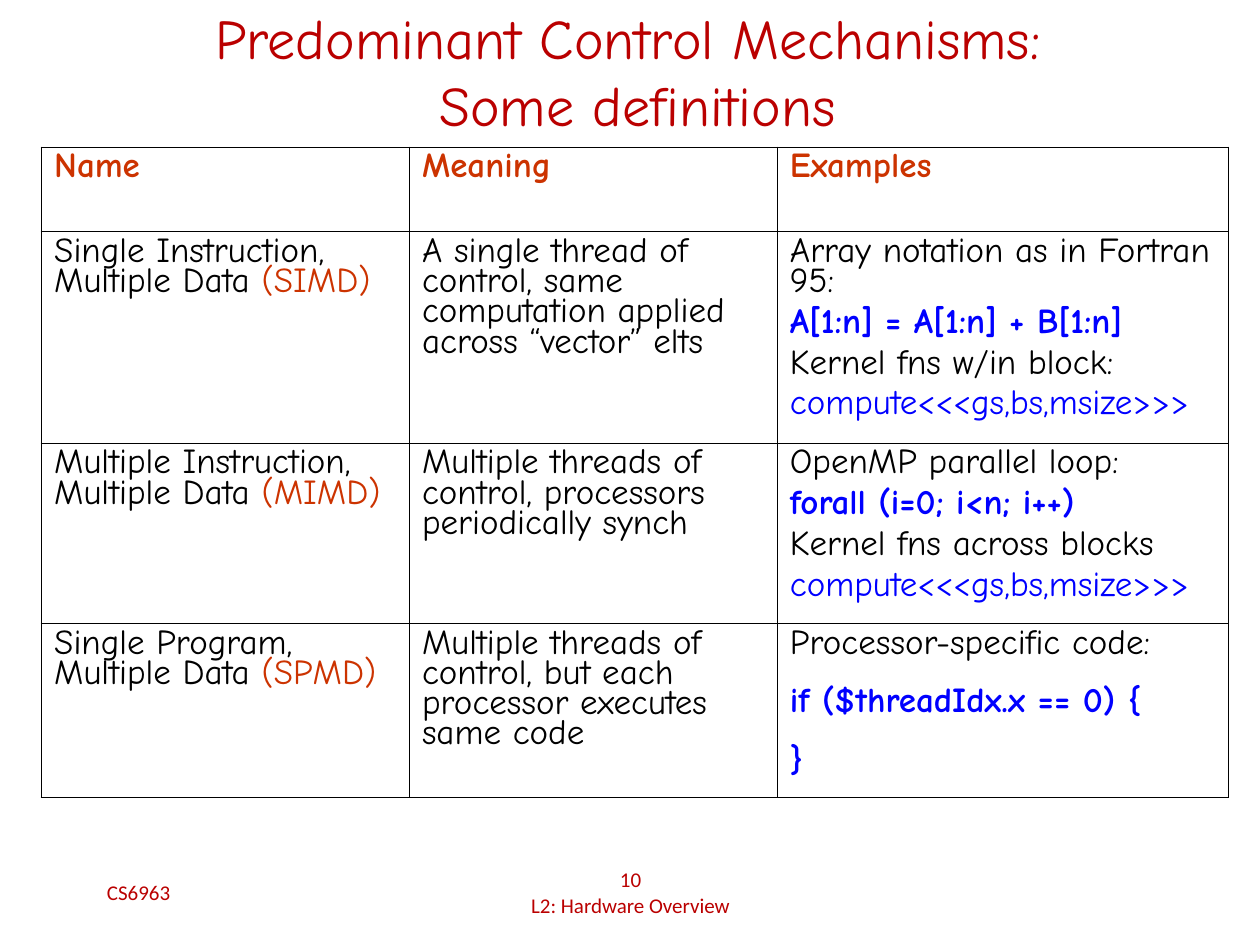
"""Build a slide that defines the main control mechanisms in a table."""
from lxml import etree
from pptx import Presentation
from pptx.dml.color import RGBColor
from pptx.enum.text import MSO_ANCHOR, PP_ALIGN
from pptx.oxml.ns import qn
from pptx.util import Inches, Pt

MIDDLE = MSO_ANCHOR.MIDDLE
LEFT, CENTER = PP_ALIGN.LEFT, PP_ALIGN.CENTER

COLORS = {"title": "BA0000", "term": "CC3300", "head": "CC3300",
          "text": "000000", "call": "0000FF", "code": "0000FF", "rule": "000000"}
BOLD = {"head", "code"}
BODY, FOOT = "Comic Neue", "Calibri"

TITLE = [[("Predominant Control Mechanisms: \vSome definitions", "title")]]
BOXES = [
    ((0.75, 6.83, 2.08, 0.5), [[("CS6963", "title")]], FOOT, 12, LEFT),
    ((3.42, 6.83, 3.17, 0.5),
     [[("10", "title")], [("L2: Hardware Overview", "title")]], FOOT, 12, CENTER),
    ((0.87, 0.33, 8.38, 0.46), TITLE, BODY, 32, CENTER),
]

HEADS = ["Name", "Meaning", "Examples"]
KINDS = [
    ("Single Instruction, Multiple Data ", "(SIMD)",
     "A single thread of control, same computation applied across “vector” elts",
     [("Array notation as in Fortran 95:", "text"),
      ("A[1:n] = A[1:n] + B[1:n]", "code"),
      ("Kernel fns w/in block:", "text"),
      ("compute<<<gs,bs,msize>>>", "call")], 6),
    ("Multiple Instruction, Multiple Data ", "(MIMD)",
     "Multiple threads of control, processors periodically synch",
     [("OpenMP parallel loop:", "text"),
      ("forall (i=0; i<n; i++)", "code"),
      ("Kernel fns across blocks", "text"),
      ("compute<<<gs,bs,msize>>>", "call")], 6),
    ("Single Program, Multiple Data ", "(SPMD)",
     "Multiple threads of control, but each processor executes same code",
     [("Processor-specific code:", "text"),
      ("if ($threadIdx.x == 0) {", "code"),
      ("}", "code")], 16.2),
]
COLS = [2.92, 2.92, 3.58]
ROWS = [0.67, 1.68, 1.43, 1.38]
THICK, THIN = 1.08, 0.45


def write(frame, paras, font, size, align=LEFT, pitch=None, gap=0):
    for i, runs in enumerate(paras):
        para = frame.paragraphs[0] if i == 0 else frame.add_paragraph()
        para.alignment = align
        para.space_before = Pt(gap if i else 0)
        if pitch:
            para.line_spacing = pitch
        for text, role in runs:
            for j, part in enumerate(text.split("\v")):
                if j:
                    para.add_line_break()
                run = para.add_run()
                run.text = part
                run.font.name = font
                run.font.size = Pt(size)
                run.font.bold = role in BOLD
                run.font.color.rgb = RGBColor.from_string(COLORS[role])


def border(cell, edges):
    props = cell._tc.get_or_add_tcPr()
    for side, outer in edges:
        width = Pt(THICK if outer else THIN)
        line = etree.SubElement(props, qn(f"a:ln{side}"), w=str(width))
        fill = etree.SubElement(line, qn("a:solidFill"))
        etree.SubElement(fill, qn("a:srgbClr"), val=COLORS["rule"])


def add_box(slide, place, paras, font, size, align):
    frame = slide.shapes.add_textbox(*map(Inches, place)).text_frame
    frame.word_wrap = True
    frame.vertical_anchor = MIDDLE
    write(frame, paras, font, size, align)


def add_grid(slide):
    grid = [[([[(head, "head")]], 0) for head in HEADS]]
    for name, term, meaning, lines, gap in KINDS:
        grid.append([([[(name, "text"), (term, "term")]], 0),
                     ([[(meaning, "text")]], 0),
                     ([[line] for line in lines], gap)])
    place = (0.33, 1.17, sum(COLS), sum(ROWS))
    table = slide.shapes.add_table(len(ROWS), len(COLS), *map(Inches, place)).table
    table.first_row = table.horz_banding = False
    for col, width in zip(table.columns, COLS):
        col.width = Inches(width)
    for row, height in zip(table.rows, ROWS):
        row.height = Inches(height)
    for r, items in enumerate(grid):
        for c, (paras, gap) in enumerate(items):
            cell = table.cell(r, c)
            border(cell, [("L", c == 0), ("R", c == len(COLS) - 1),
                          ("T", r == 0), ("B", r == len(ROWS) - 1)])
            cell.fill.background()
            write(cell.text_frame, paras, BODY, 20, pitch=0.75, gap=gap)


def main():
    deck = Presentation()
    deck.slide_width, deck.slide_height = Inches(10), Inches(7.5)
    slide = deck.slides.add_slide(deck.slide_layouts[6])
    for box in BOXES:
        add_box(slide, *box)
    add_grid(slide)
    deck.save("out.pptx")


if __name__ == "__main__":
    main()
